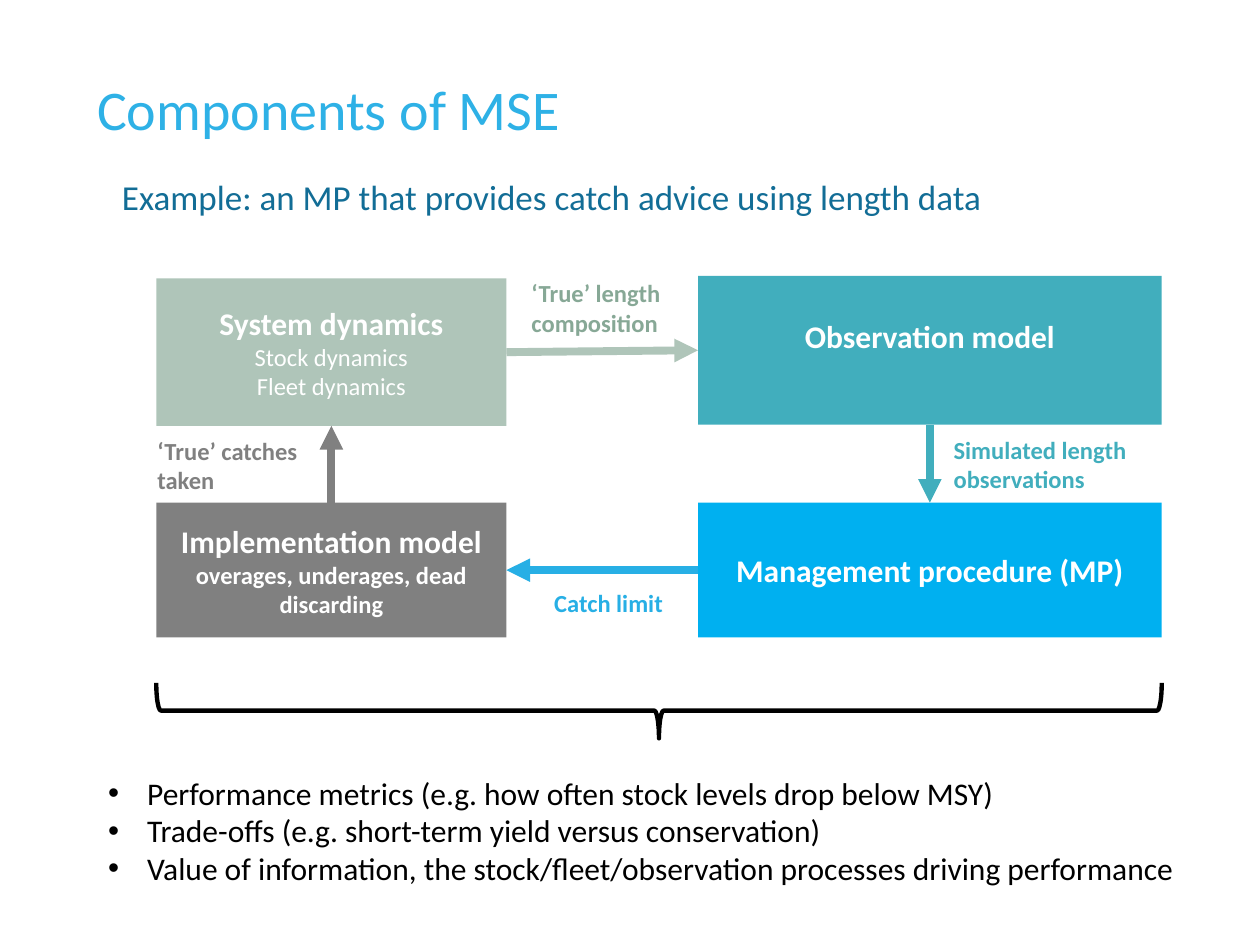
from dataclasses import dataclass

from lxml.etree import SubElement
from pptx import Presentation
from pptx.dml.color import RGBColor
from pptx.enum.shapes import MSO_CONNECTOR as Connector, MSO_SHAPE as Shape
from pptx.enum.text import MSO_ANCHOR as Anchor, PP_ALIGN as Align
from pptx.oxml.ns import qn
from pptx.util import Pt

PX = 9144
TOP, LEFT, BOTTOM, RIGHT = range(4)


@dataclass(frozen=True)
class Theme:
    font: str = "Calibri"
    title: str = "2EB1E6"
    subtitle: str = "126D96"
    ink: str = "000000"
    white: str = "FFFFFF"
    system: str = "AFC5B9"
    system_label: str = "87A896"
    observation: str = "41AEBD"
    procedure: str = "00B0F0"
    catch: str = "27AFE5"
    implementation: str = "808080"
    title_size: int = 32
    subtitle_size: int = 20
    body_size: int = 18
    label_size: int = 14
    arrow_width: float = 4.5
    brace_width: float = 2.5


THEME = Theme()


def emu(*lengths):
    return [round(length * PX) for length in lengths]


def rgb(color):
    return RGBColor.from_string(color)


def style(paragraph, size, color, bold=False):
    font = paragraph.font
    font.name, font.size, font.bold = THEME.font, Pt(size), bold
    font.color.rgb = rgb(color)


def write(frame, lines, align=Align.LEFT):
    frame.word_wrap = True
    for index, (text, *look) in enumerate(lines):
        paragraph = frame.add_paragraph() if index else frame.paragraphs[0]
        paragraph.text = text
        paragraph.alignment = align
        style(paragraph, *look)


def add_text(slide, box, lines):
    frame = slide.shapes.add_textbox(*emu(*box)).text_frame
    write(frame, lines)
    return frame


def add_heading(slide, box):
    x, y, w, h = box
    title = slide.shapes.title
    title.left, title.top, title.width, title.height = emu(x, y, w, h)
    frame = title.text_frame
    frame.vertical_anchor = Anchor.MIDDLE
    write(frame, [("Components of MSE", THEME.title_size, THEME.title)])
    frame.paragraphs[0].line_spacing = 0.9
    add_text(slide, (x + 20, y + 117, 896, 44),
             [("Example: an MP that provides catch advice using length data",
               THEME.subtitle_size, THEME.subtitle)])


def add_stage(slide, box, fill, heading, details=(), bold_details=False):
    stage = slide.shapes.add_shape(Shape.RECTANGLE, *emu(*box))
    stage.shadow.inherit = False
    stage.fill.solid()
    stage.fill.fore_color.rgb = rgb(fill)
    stage.line.fill.background()
    stage.text_frame.vertical_anchor = Anchor.MIDDLE
    write(stage.text_frame,
          [(heading, THEME.body_size, THEME.white, True)]
          + [(detail, THEME.label_size, THEME.white, bold_details) for detail in details],
          Align.CENTER)
    return stage


def add_flow(slide, source, source_side, target, target_side, color):
    flow = slide.shapes.add_connector(Connector.STRAIGHT, 0, 0, 0, 0)
    flow.begin_connect(source, source_side)
    flow.end_connect(target, target_side)
    flow.line.width = Pt(THEME.arrow_width)
    flow.line.color.rgb = rgb(color)
    SubElement(flow.line._get_or_add_ln(), qn("a:tailEnd"), type="triangle")
    SubElement(flow._element.spPr, qn("a:effectLst"))


def add_cycle(slide, box):
    x, y, w, h = box
    left_w, right_w, upper_h, lower_h = 278, 368, 118, 107
    right_x, lower_y = x + w - right_w, y + h - lower_h

    system = add_stage(slide, (x, y + 2, left_w, upper_h - 1), THEME.system,
                       "System dynamics", ["Stock dynamics", "Fleet dynamics"])
    observation = add_stage(slide, (right_x, y, right_w, upper_h), THEME.observation,
                            "Observation model")
    observation.text_frame.margin_bottom = emu(28)[0]
    procedure = add_stage(slide, (right_x, lower_y, right_w, lower_h), THEME.procedure,
                          "Management procedure (MP)")
    implementation = add_stage(slide, (x, lower_y, left_w, lower_h), THEME.implementation,
                               "Implementation model",
                               ["overages, underages, dead discarding"], True)

    add_flow(slide, system, RIGHT, observation, LEFT, THEME.system)
    add_flow(slide, observation, BOTTOM, procedure, TOP, THEME.observation)
    add_flow(slide, procedure, LEFT, implementation, RIGHT, THEME.catch)
    add_flow(slide, implementation, TOP, system, BOTTOM, THEME.implementation)

    for dx, dy, label_w, label_h, label, color in [
        (306, 243, 158, 34, "Catch limit", THEME.catch),
        (623, 121, 178, 57, "Simulated length observations", THEME.observation),
        (-9, 122, 148, 57, "‘True’ catches taken", THEME.implementation),
        (288, -3, 156, 57, "‘True’ length composition", THEME.system_label),
    ]:
        add_text(slide, (x + dx, y + dy, label_w, label_h),
                 [(label, THEME.label_size, color, True)])


def add_brace(slide, box):
    x, y, w, h = box
    brace = slide.shapes.add_shape(
        Shape.LEFT_BRACE, *emu(x + (w - h) / 2, y + (h - w) / 2, h, w))
    brace.rotation = 270
    brace.shadow.inherit = False
    brace.fill.background()
    brace.line.color.rgb = rgb(THEME.ink)
    brace.line.width = Pt(THEME.brace_width)


def add_outcomes(slide, box):
    outcomes = [
        "Performance metrics (e.g. how often stock levels drop below MSY)",
        "Trade-offs (e.g. short-term yield versus conservation)",
        "Value of information, the stock/fleet/observation processes driving performance",
    ]
    frame = add_text(slide, box, [(text, THEME.body_size, THEME.ink) for text in outcomes])
    indent = emu(31)[0]
    for paragraph in frame.paragraphs:
        properties = paragraph._p.get_or_add_pPr()
        properties.set("marL", str(indent))
        properties.set("indent", str(-indent))
        bullet_font = SubElement(properties, qn("a:buFont"), typeface="Arial")
        properties.remove(bullet_font)
        properties.insert(0, bullet_font)
        bullet = SubElement(properties, qn("a:buChar"), char="•")
        properties.remove(bullet)
        properties.insert(1, bullet)


def main():
    deck = Presentation()
    deck.slide_width, deck.slide_height = emu(1000, 750)
    slide = deck.slides.add_slide(deck.slide_layouts[5])
    add_heading(slide, (67, 17, 862, 145))
    add_cycle(slide, (124, 219, 798, 287))
    add_brace(slide, (124, 542, 798, 44))
    add_outcomes(slide, (76, 609, 894, 101))
    deck.save("out.pptx")


if __name__ == "__main__":
    main()
